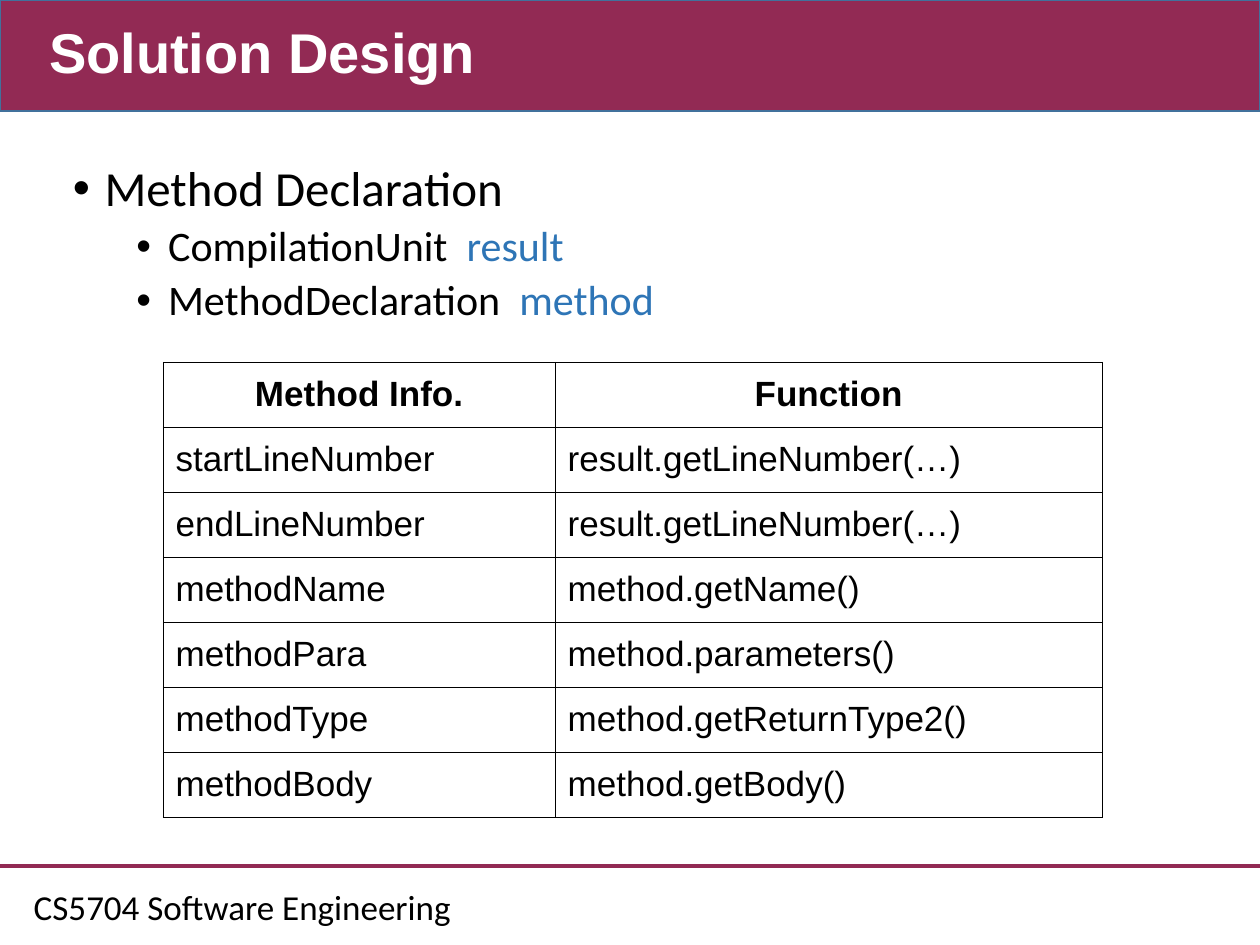
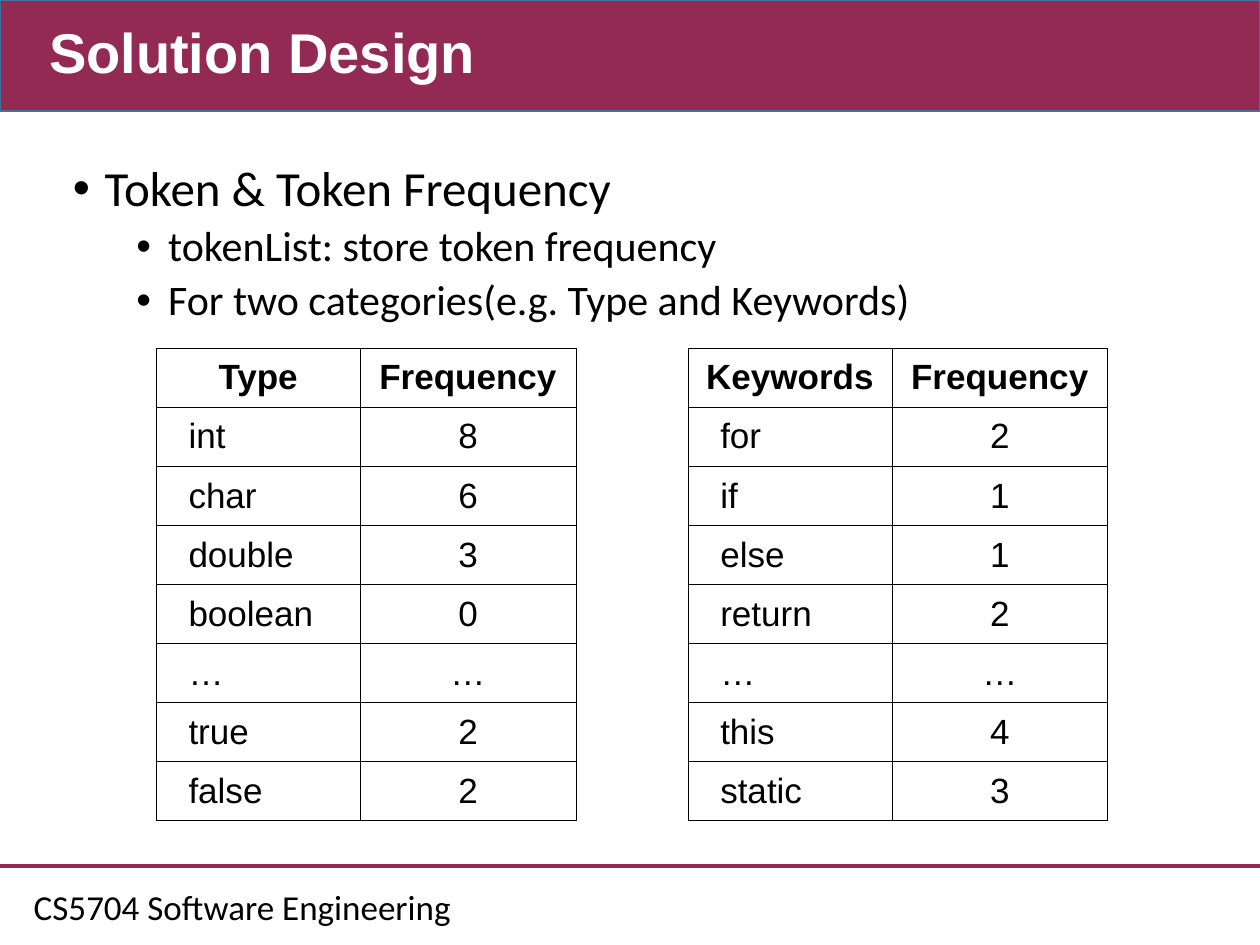
from lxml.etree import SubElement
from pptx import Presentation
from pptx.dml.color import RGBColor
from pptx.enum.shapes import MSO_CONNECTOR, MSO_SHAPE
from pptx.enum.text import MSO_ANCHOR, PP_ALIGN
from pptx.oxml.ns import qn
from pptx.util import Cm, Pt

TITLE = "Solution Design"
FOOTER = "CS5704 Software Engineering"

METHOD_TABLE = [
    ("Method Info.", "Function"),
    ("startLineNumber", "result.getLineNumber(…)"),
    ("endLineNumber", "result.getLineNumber(…)"),
    ("methodName", "method.getName()"),
    ("methodPara", "method.parameters()"),
    ("methodType", "method.getReturnType2()"),
    ("methodBody", "method.getBody()"),
]
TYPE_TABLE = [
    ("Type", "Frequency"),
    ("int", "8"),
    ("char", "6"),
    ("double", "3"),
    ("boolean", "0"),
    ("…", "…"),
    ("true", "2"),
    ("false", "2"),
]
KEYWORD_TABLE = [
    ("Keywords", "Frequency"),
    ("for", "2"),
    ("if", "1"),
    ("else", "1"),
    ("return", "2"),
    ("…", "…"),
    ("this", "4"),
    ("static", "3"),
]

METHOD_LAYOUT = {
    "top": 7.3, "columns": (7.9, 11.03), "row": 1.31,
    "indent": 0.25, "value_align": PP_ALIGN.LEFT,
}
FREQUENCY_LAYOUT = {
    "top": 7.02, "columns": (4.11, 4.35), "row": 1.19,
    "indent": 0.65, "value_align": PP_ALIGN.CENTER,
}

SLIDES = [
    {
        "heading": "Method Declaration",
        "points": [("CompilationUnit", "result"), ("MethodDeclaration", "method")],
        "tables": [(3.29, METHOD_TABLE, METHOD_LAYOUT)],
    },
    {
        "heading": "Token & Token Frequency",
        "points": [
            ("tokenList: store token frequency",),
            ("For two categories(e.g. Type and Keywords)",),
        ],
        "tables": [
            (3.15, TYPE_TABLE, FREQUENCY_LAYOUT),
            (13.87, KEYWORD_TABLE, FREQUENCY_LAYOUT),
        ],
    },
]

MAROON = RGBColor(0x92, 0x2A, 0x54)
BAND_EDGE = RGBColor(0x41, 0x71, 0x9C)
VARIABLE_BLUE = RGBColor(0x2E, 0x75, 0xB6)
BLACK = RGBColor(0, 0, 0)
WHITE = RGBColor(255, 255, 255)

SLIDE_WIDTH, SLIDE_HEIGHT = Cm(25.4), Cm(19.05)
BAND_HEIGHT = Cm(2.24)
FOOTER_LINE_TOP = Cm(17.46)
BULLET_HANG = Cm(0.64)
BORDER_WIDTH = Pt(0.45)


def style(font, name, size, color=BLACK, bold=False):
    font.name = name
    font.size = Pt(size)
    font.color.rgb = color
    font.bold = bold


def add_text_box(slide, left, top, width, height):
    text_frame = slide.shapes.add_textbox(left, top, width, height).text_frame
    text_frame.word_wrap = True
    return text_frame


def add_frame(slide):
    band = slide.shapes.add_shape(MSO_SHAPE.RECTANGLE, 0, 0, SLIDE_WIDTH, BAND_HEIGHT)
    band.shadow.inherit = False
    band.fill.solid()
    band.fill.fore_color.rgb = MAROON
    band.line.color.rgb = BAND_EDGE
    band.line.width = Pt(1)

    rule = slide.shapes.add_connector(
        MSO_CONNECTOR.STRAIGHT, 0, FOOTER_LINE_TOP, SLIDE_WIDTH, FOOTER_LINE_TOP)
    rule.line.color.rgb = MAROON
    rule.line.width = Pt(2.25)
    SubElement(rule._element.spPr, qn("a:effectLst"))

    footer = add_text_box(slide, Cm(0.43), Cm(17.73), Cm(12.27), Cm(1.11))
    footer.text = FOOTER
    style(footer.paragraphs[0].runs[0].font, "Calibri", 20)

    title = add_text_box(slide, Cm(0.74), 0, Cm(24.66), BAND_HEIGHT)
    title.vertical_anchor = MSO_ANCHOR.MIDDLE
    title.text = TITLE
    title.paragraphs[0].line_spacing = 0.9
    style(title.paragraphs[0].runs[0].font, "Arial", 32, WHITE, True)


def add_bullet(paragraph, margin):
    properties = paragraph._p.get_or_add_pPr()
    properties.set("marL", str(margin))
    properties.set("indent", str(-BULLET_HANG))
    paragraph.line_spacing = 0.9
    SubElement(properties, qn("a:buFont")).set("typeface", "Arial")
    SubElement(properties, qn("a:buChar")).set("char", "•")


def add_run(paragraph, text, size, color=BLACK):
    run = paragraph.add_run()
    run.text = text
    style(run.font, "Calibri", size, color)
    return run


def add_bullets(slide, heading, points):
    text_frame = add_text_box(slide, Cm(1.22), Cm(3.18), Cm(22.96), Cm(13.67))
    paragraph = text_frame.paragraphs[0]
    add_bullet(paragraph, BULLET_HANG)
    add_run(paragraph, heading, 28)
    for label, *variables in points:
        paragraph = text_frame.add_paragraph()
        paragraph.level = 1
        paragraph.space_before = Pt(5)
        add_bullet(paragraph, 3 * BULLET_HANG)
        add_run(paragraph, label, 24)
        for variable in variables:
            gap = add_run(paragraph, " ", 24)
            gap.font._element.set("spc", "540")
            add_run(paragraph, variable, 24, VARIABLE_BLUE)


def add_borders(cell):
    properties = cell._tc.get_or_add_tcPr()
    for side in ("lnL", "lnR", "lnT", "lnB"):
        line = SubElement(properties, qn(f"a:{side}"))
        line.set("w", str(BORDER_WIDTH))
        fill = SubElement(line, qn("a:solidFill"))
        SubElement(fill, qn("a:srgbClr")).set("val", str(BLACK))


def add_grid(slide, left, rows, layout):
    columns = layout["columns"]
    table = slide.shapes.add_table(
        len(rows), len(columns), Cm(left), Cm(layout["top"]),
        Cm(sum(columns)), Cm(layout["row"] * len(rows))).table
    table.first_row = table.horz_banding = False
    for column, width in zip(table.columns, columns):
        column.width = Cm(width)
    for row_index, values in enumerate(rows):
        table.rows[row_index].height = Cm(layout["row"])
        is_header = row_index == 0
        for column_index, value in enumerate(values):
            cell = table.cell(row_index, column_index)
            add_borders(cell)
            cell.fill.background()
            cell.vertical_anchor = MSO_ANCHOR.MIDDLE
            cell.text_frame.text = value
            paragraph = cell.text_frame.paragraphs[0]
            style(paragraph.runs[0].font, "Arial", 20, bold=is_header)
            if is_header:
                paragraph.alignment = PP_ALIGN.CENTER
            elif column_index == 0:
                cell.margin_left = Cm(layout["indent"])
            else:
                paragraph.alignment = layout["value_align"]


def main():
    presentation = Presentation()
    presentation.slide_width = SLIDE_WIDTH
    presentation.slide_height = SLIDE_HEIGHT
    for content in SLIDES:
        slide = presentation.slides.add_slide(presentation.slide_layouts[6])
        add_frame(slide)
        add_bullets(slide, content["heading"], content["points"])
        for left, rows, layout in content["tables"]:
            add_grid(slide, left, rows, layout)
    presentation.save("out.pptx")


if __name__ == "__main__":
    main()
